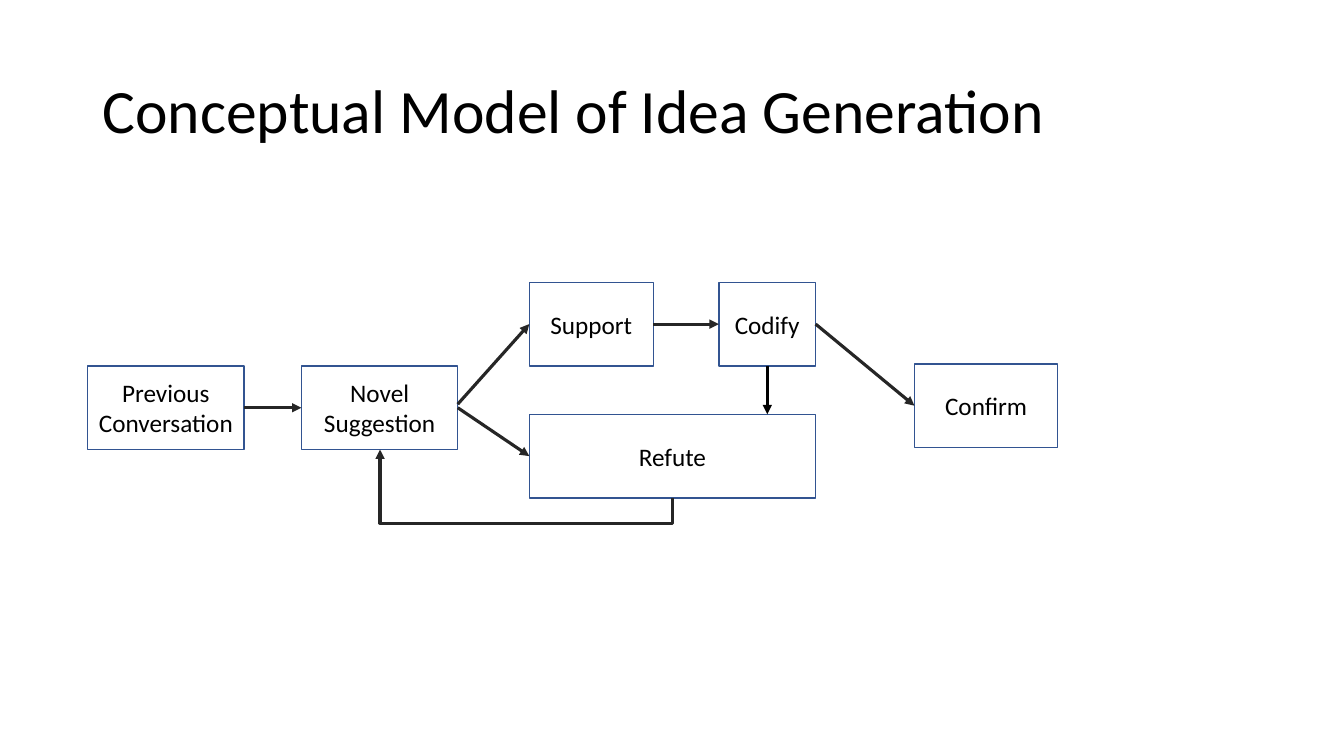
from lxml import etree
from pptx import Presentation
from pptx.dml.color import RGBColor
from pptx.enum.shapes import MSO_CONNECTOR, MSO_SHAPE
from pptx.enum.text import MSO_ANCHOR, PP_ALIGN
from pptx.oxml.ns import qn
from pptx.util import Inches, Pt

RECTANGLE = MSO_SHAPE.RECTANGLE
STRAIGHT, ELBOW = MSO_CONNECTOR.STRAIGHT, MSO_CONNECTOR.ELBOW
MIDDLE, CENTER = MSO_ANCHOR.MIDDLE, PP_ALIGN.CENTER
TOP, LEFT, BOTTOM, RIGHT = range(4)
BOX_HEIGHT = 0.83
BLACK, DARK_GRAY, BLUE = "000000", "262626", "325491"


def write_text(shape, text, size):
    frame = shape.text_frame
    frame.word_wrap = True
    frame.vertical_anchor = MIDDLE
    frame.text = text
    font = frame.paragraphs[0].runs[0].font
    font.name = "Calibri"
    font.size = Pt(size)
    font.color.rgb = RGBColor.from_string(BLACK)


def style_arrow(connector, color):
    """Set the line, put an arrowhead at its end and remove the shadow."""
    connector.line.color.rgb = RGBColor.from_string(color)
    connector.line.width = Pt(2.25)
    properties = connector._element.spPr
    line = properties.find(qn("a:ln"))
    etree.SubElement(line, qn("a:tailEnd")).set("type", "triangle")
    etree.SubElement(properties, qn("a:effectLst"))


presentation = Presentation()
presentation.slide_width = Inches(13.33)
presentation.slide_height = Inches(7.5)
slide = presentation.slides.add_slide(presentation.slide_layouts[6])

title = slide.shapes.add_textbox(Inches(0.92), Inches(0.4), Inches(11.5), Inches(1.45))
write_text(title, "Conceptual Model of Idea Generation", 44)
title.text_frame.paragraphs[0].line_spacing = 0.9

# Boxes: text, left, top, width
boxes = {}
for text, left, top, width in [
    ("Novel Suggestion", 2.99, 3.63, 1.55),
    ("Previous Conversation", 0.87, 3.63, 1.55),
    ("Support", 5.25, 2.8, 1.23),
    ("Refute", 5.25, 4.11, 2.84),
    ("Codify", 7.13, 2.8, 0.96),
    ("Confirm", 9.07, 3.61, 1.42),
]:
    box = slide.shapes.add_shape(
        RECTANGLE, Inches(left), Inches(top), Inches(width), Inches(BOX_HEIGHT)
    )
    box.shadow.inherit = False
    box.fill.background()
    box.line.color.rgb = RGBColor.from_string(BLUE)
    box.line.width = Pt(1)
    write_text(box, text, 18)
    box.text_frame.paragraphs[0].alignment = CENTER
    boxes[text] = box

# Arrows between the middles of two sides
for start, end in [
    ("Previous Conversation", "Novel Suggestion"),
    ("Novel Suggestion", "Refute"),
    ("Support", "Codify"),
    ("Codify", "Confirm"),
]:
    arrow = slide.shapes.add_connector(STRAIGHT, 0, 0, 0, 0)
    arrow.begin_connect(boxes[start], RIGHT)
    arrow.end_connect(boxes[end], LEFT)
    style_arrow(arrow, DARK_GRAY)

# Arrows with one end away from the middle of a side
support_arrow = slide.shapes.add_connector(
    STRAIGHT, Inches(4.54), Inches(4.01), Inches(5.25), Inches(3.21)
)
support_arrow.end_connect(boxes["Support"], LEFT)
style_arrow(support_arrow, DARK_GRAY)

refute_arrow = slide.shapes.add_connector(
    STRAIGHT, Inches(7.61), Inches(3.63), Inches(7.61), Inches(4.11)
)
refute_arrow.begin_connect(boxes["Codify"], BOTTOM)
style_arrow(refute_arrow, BLACK)

# Feedback loop under the boxes: an elbow turned by a quarter
loop = slide.shapes.add_connector(ELBOW, 0, 0, 0, 0)
loop.begin_connect(boxes["Refute"], BOTTOM)
loop.end_connect(boxes["Novel Suggestion"], BOTTOM)
loop.left, loop.top = Inches(4.98), Inches(3.25)
loop.width, loop.height = Inches(0.48), Inches(2.9)
transform = loop._element.spPr.find(qn("a:xfrm"))
transform.set("rot", "5400000")
transform.set("flipH", "1")
transform.set("flipV", "0")
adjustments = loop._element.spPr.find(qn("a:prstGeom")).find(qn("a:avLst"))
guide = etree.SubElement(adjustments, qn("a:gd"))
guide.set("name", "adj1")
guide.set("fmla", "val -52200")
style_arrow(loop, DARK_GRAY)

presentation.save("out.pptx")
